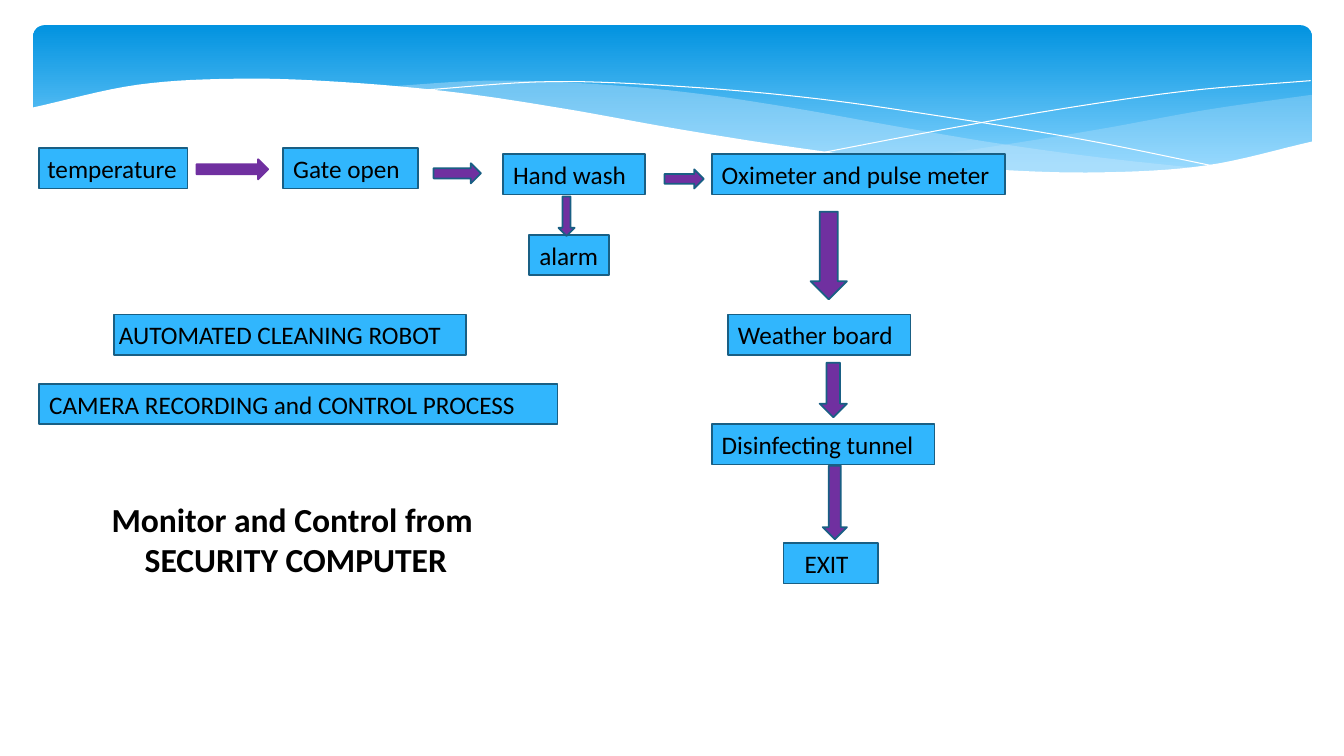
from lxml import etree
from pptx import Presentation
from pptx.dml.color import RGBColor
from pptx.enum.shapes import MSO_SHAPE as Preset
from pptx.enum.text import MSO_ANCHOR as Anchor, PP_ALIGN as Align
from pptx.oxml.ns import qn
from pptx.util import Inches, Pt

SKY_TOP = RGBColor(0x02, 0x93, 0xE0)
SKY_BOTTOM = RGBColor(0x83, 0xD3, 0xFE)
MIST = RGBColor(0xC6, 0xE7, 0xFC)
WHITE = RGBColor(0xFF, 0xFF, 0xFF)
BLACK = RGBColor(0, 0, 0)
BOX_BLUE = RGBColor(0x31, 0xB6, 0xFD)
EDGE_BLUE = RGBColor(0x19, 0x5F, 0x84)
PURPLE = RGBColor(0x70, 0x30, 0xA0)

BOX_HEIGHT = 0.4
CURVE_STEPS = 8  # short straight pieces between two heights


def write(shape, text, size=18, bold=False, align=Align.LEFT, wrap=True, inset=0.1):
    frame = shape.text_frame
    frame.word_wrap = wrap
    frame.vertical_anchor = Anchor.MIDDLE
    frame.margin_left = Inches(inset)
    frame.margin_right = 0
    frame.text = text
    for paragraph in frame.paragraphs:
        paragraph.alignment = align
        font = paragraph.runs[0].font
        font.name = "Calibri"
        font.size = Pt(size)
        font.bold = bold
        font.color.rgb = BLACK


def smooth_curve(left, right, heights):
    """Points of a Catmull-Rom curve through heights evenly spaced from left to right."""
    spans = len(heights) - 1
    # Extend both ends in a straight line so that the end slopes are defined
    padded = [2 * heights[0] - heights[1], *heights, 2 * heights[-1] - heights[-2]]
    points = []
    for step in range(spans * CURVE_STEPS + 1):
        span = min(step // CURVE_STEPS, spans - 1)
        t = step / CURVE_STEPS - span
        before, start, end, after = padded[span:span + 4]
        y = start + t / 2 * (
            end - before
            + t * (2 * before - 5 * start + 4 * end - after)
            + t * t * (3 * (start - end) + after - before))
        x = left + (right - left) * step / (spans * CURVE_STEPS)
        points.append((Inches(x), Inches(y)))
    return points


presentation = Presentation()
presentation.slide_width = Inches(13.33)
presentation.slide_height = Inches(7.5)
slide = presentation.slides.add_slide(presentation.slide_layouts[6])
shapes = slide.shapes

# Gradient banner
banner = shapes.add_shape(
    Preset.ROUNDED_RECTANGLE, Inches(0.33), Inches(0.25), Inches(12.68), Inches(1.56))
banner.adjustments[0] = 0.071
banner.shadow.inherit = False
banner.line.fill.background()
banner.fill.gradient()
banner.fill.gradient_angle = 270
for stop, position, color in zip(
        banner.fill.gradient_stops, (0, 0.9), (SKY_TOP, SKY_BOTTOM)):
    stop.position = position
    stop.color.rgb = color

# Curves of the banner, each given by its heights at equal distances
near_crest = smooth_curve(8.82, 13.01, [1.6, 1.45, 1.28, 1.09, 0.94])
near_trough = smooth_curve(8.82, 13.01, [1.6, 1.69, 1.72, 1.65, 1.42])
far_crest = smooth_curve(
    3.82, 11.9, [0.86, 0.8, 0.83, 0.92, 1.07, 1.25, 1.42, 1.56, 1.67])
far_trough = smooth_curve(
    3.82, 11.9, [0.86, 0.97, 1.13, 1.31, 1.47, 1.61, 1.7, 1.73, 1.67])
falling_line = smooth_curve(4.12, 12.1, [0.9, 0.81, 0.86, 0.98, 1.17, 1.39, 1.66])
rising_line = smooth_curve(8.18, 13, [1.51, 1.28, 1.07, 0.9, 0.8])
cutout_crest = smooth_curve(
    0.31, 13.03,
    [1.07, 0.84, 0.78, 0.82, 0.92, 1.08, 1.27, 1.44, 1.58, 1.68, 1.71, 1.64, 1.4])
cutout_floor = smooth_curve(0.31, 13.03, [2.24, 2.24])

# Waves from back to front: upper edge, lower edge (none for a hairline),
# colour, opacity in percent
waves = [
    (near_crest, near_trough, MIST, 29),
    (far_crest, far_trough, MIST, 40),
    (falling_line, None, WHITE, 100),
    (rising_line, None, WHITE, 100),
    (cutout_crest, cutout_floor, WHITE, 100),
]
for upper_edge, lower_edge, color, opacity in waves:
    outline = upper_edge + (lower_edge or [])[::-1]
    builder = shapes.build_freeform(*outline[0])
    builder.add_line_segments(outline[1:], close=bool(lower_edge))
    wave = builder.convert_to_shape()
    wave.shadow.inherit = False
    if lower_edge:
        wave.line.fill.background()
        wave.fill.solid()
        wave.fill.fore_color.rgb = color
        color_element = wave.element.spPr.find(".//" + qn("a:srgbClr"))
        etree.SubElement(color_element, qn("a:alpha"), val=str(opacity * 1000))
    else:
        wave.fill.background()
        wave.line.color.rgb = color
        wave.line.width = Pt(0)

# Process boxes: text, left, top, width, text inset
steps = [
    ("temperature", 0.39, 1.47, 1.47, 0.08),
    ("Gate open", 2.81, 1.47, 1.34, 0.1),
    ("Hand wash", 4.99, 1.53, 1.41, 0.1),
    ("Oximeter and pulse meter", 7.06, 1.53, 2.91, 0.1),
    ("alarm", 5.25, 2.33, 0.79, 0.1),
    ("AUTOMATED CLEANING ROBOT", 1.13, 3.12, 3.49, 0.05),
    ("CAMERA RECORDING and CONTROL PROCESS", 0.39, 3.81, 5.14, 0.1),
    ("Weather board", 7.22, 3.12, 1.81, 0.1),
    ("Disinfecting tunnel", 7.06, 4.21, 2.21, 0.1),
    ("EXIT", 7.77, 5.39, 0.94, 0.21),
]
painted = []  # shape, fill colour, edge colour
for text, left, top, width, inset in steps:
    box = shapes.add_shape(
        Preset.RECTANGLE, Inches(left), Inches(top), Inches(width), Inches(BOX_HEIGHT))
    write(box, text, inset=inset)
    painted.append((box, BOX_BLUE, EDGE_BLUE))

# Block arrows: preset, left, top, width, height, edge
arrows = [
    (Preset.RIGHT_ARROW, 1.95, 1.58, 0.71, 0.2, PURPLE),  # temperature to gate
    (Preset.RIGHT_ARROW, 4.3, 1.62, 0.47, 0.2, EDGE_BLUE),  # gate to hand wash
    (Preset.RIGHT_ARROW, 6.59, 1.68, 0.39, 0.19, EDGE_BLUE),  # hand wash to oximeter
    (Preset.DOWN_ARROW, 5.54, 1.95, 0.16, 0.39, EDGE_BLUE),  # hand wash to alarm
    (Preset.DOWN_ARROW, 8.04, 2.1, 0.36, 0.87, EDGE_BLUE),  # oximeter to weather board
    (Preset.DOWN_ARROW, 8.13, 3.6, 0.27, 0.54, EDGE_BLUE),  # weather board to tunnel
    (Preset.DOWN_ARROW, 8.16, 4.62, 0.24, 0.73, EDGE_BLUE),  # tunnel to exit
]
for preset, left, top, width, height, edge in arrows:
    arrow = shapes.add_shape(
        preset, Inches(left), Inches(top), Inches(width), Inches(height))
    painted.append((arrow, PURPLE, edge))

# Shared look of boxes and arrows
for shape, fill, edge in painted:
    shape.shadow.inherit = False
    shape.fill.solid()
    shape.fill.fore_color.rgb = fill
    shape.line.color.rgb = edge
    shape.line.width = Pt(1.25)

# Control caption
caption = shapes.add_textbox(Inches(0.92), Inches(4.89), Inches(4.03), Inches(0.91))
write(caption, "Monitor and Control from \nSECURITY COMPUTER",
      size=24, bold=True, align=Align.CENTER, wrap=False, inset=0)

presentation.save("out.pptx")
